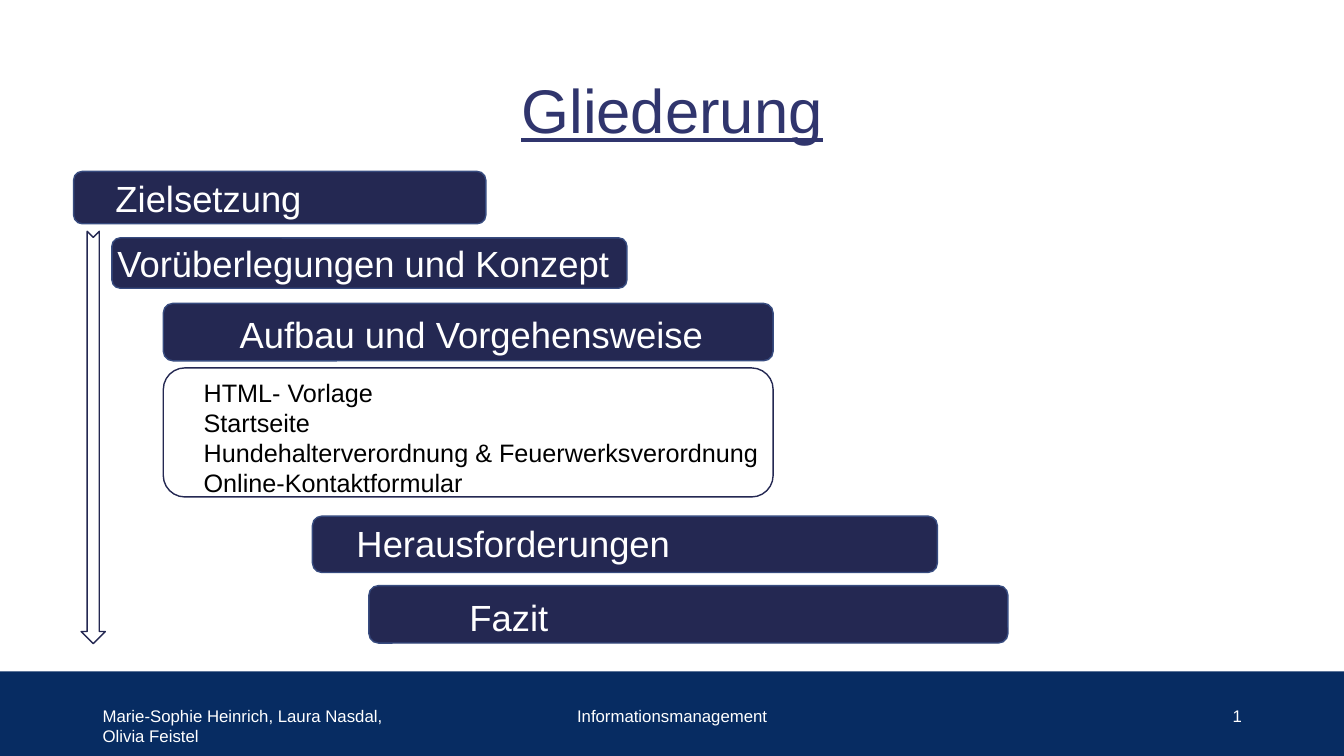
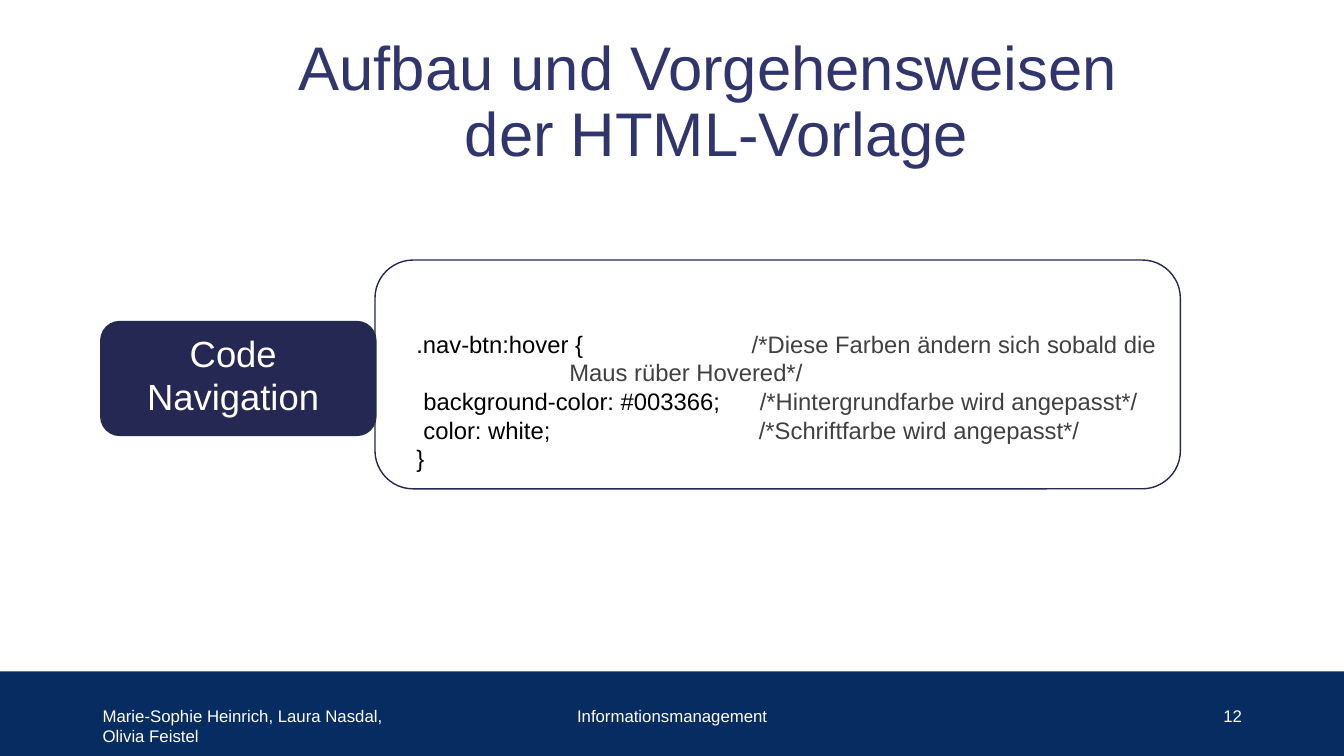
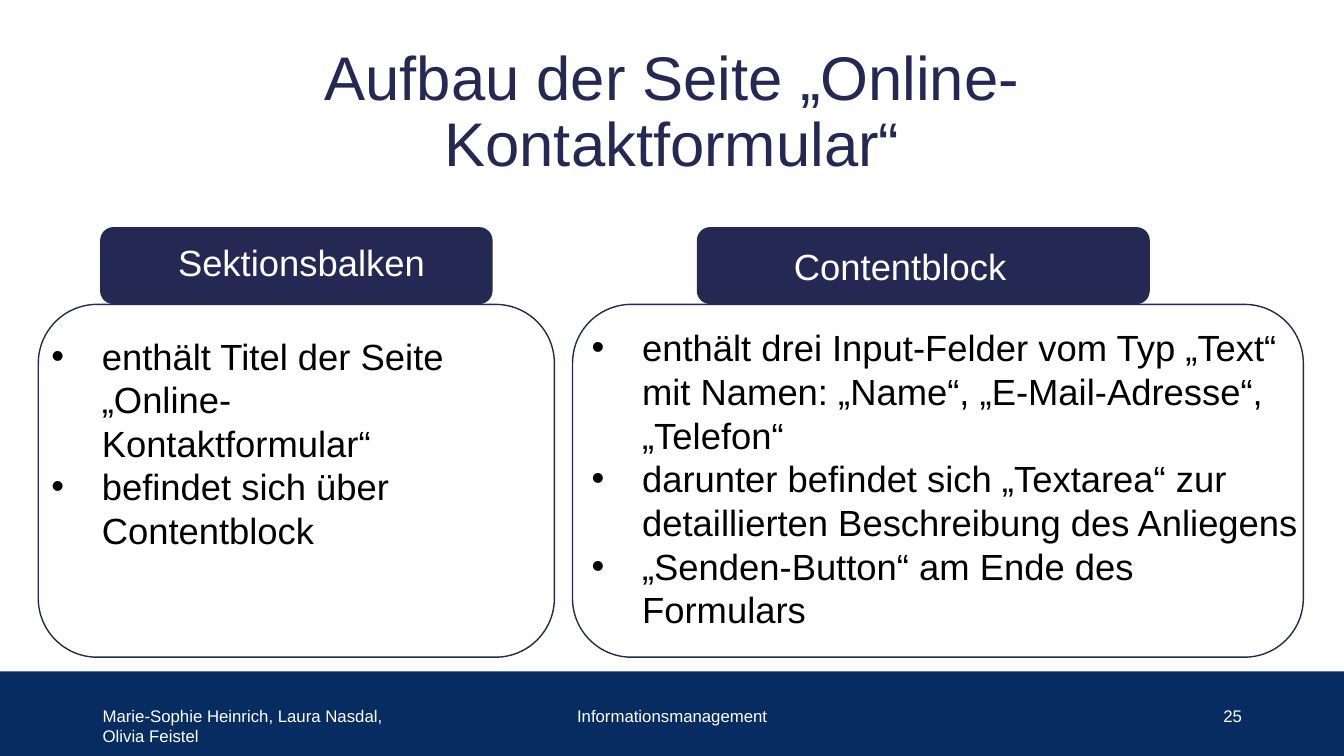
from pptx import Presentation
from pptx.dml.color import RGBColor
from pptx.enum.shapes import MSO_SHAPE
from pptx.enum.text import MSO_ANCHOR, MSO_AUTO_SIZE, PP_ALIGN
from pptx.oxml.ns import qn
from pptx.util import Inches, Pt
from lxml.etree import SubElement

COLORS = {
    "band": "072C62", "bar": "242852", "bar edge": "374B7F", "tab edge": "202D4B",
    "title": "30356D", "white": "FFFFFF", "black": "000000", "comment": "404040",
}
FOOTERS = [
    (0.92, 3, PP_ALIGN.LEFT, "Marie-Sophie Heinrich, Laura Nasdal, Olivia Feistel"),
    (4.42, 4.5, PP_ALIGN.CENTER, "Informationsmanagement"),
]


def write(shape, lines, size, color, align=PP_ALIGN.LEFT, anchor=MSO_ANCHOR.TOP,
          insets=(0.1, 0.1), drop=0, spacing=1.0, underline=None):
    """Fill a shape with paragraphs of one style; drop lowers the text."""
    frame = shape.text_frame
    frame_format = {
        "word_wrap": True, "auto_size": MSO_AUTO_SIZE.NONE, "vertical_anchor": anchor,
        "margin_left": Inches(insets[0]), "margin_right": Inches(insets[1]),
        "margin_top": Inches(0.05 + drop), "margin_bottom": Inches(0.05 - drop),
    }
    for name, value in frame_format.items():
        setattr(frame, name, value)
    frame.text = "\n".join(lines)
    para_format = {"alignment": align, "line_spacing": spacing, "space_before": Pt(0)}
    font_format = {"name": "Arial", "size": Pt(size), "underline": underline}
    for para in frame.paragraphs:
        for name, value in para_format.items():
            setattr(para, name, value)
        for span in para.runs:
            for name, value in font_format.items():
                setattr(span.font, name, value)
            span.font.color.rgb = RGBColor.from_string(COLORS[color])


def add_box(page, at, fill, edge, kind=MSO_SHAPE.ROUNDED_RECTANGLE):
    """Draw a flat filled shape with a thin outline."""
    box = page.shapes.add_shape(kind, *map(Inches, at))
    box.shadow.inherit = False
    box.fill.solid()
    box.fill.fore_color.rgb = RGBColor.from_string(COLORS[fill])
    box.line.color.rgb = RGBColor.from_string(COLORS[edge])
    box.line.width = Pt(1)
    return box


deck = Presentation()
deck.slide_width, deck.slide_height = Inches(40 / 3), Inches(7.5)

# Pages with title and footer texts
pages = []
for layout, number, title, top, left, color, underline in [
    (1, "1", ["Gliederung"], 0.4, 0.92, "title", True),
    (1, "12", ["Aufbau und Vorgehensweisen ", "der HTML-Vorlage"], 0.3, 1.36, "title", None),
    (3, "25", ["Aufbau der Seite „Online-Kontaktformular“"], 0.4, 0.92, "bar", None),
]:
    page = deck.slides.add_slide(deck.slide_layouts[layout])
    pages.append(page)
    heading = page.shapes.title
    heading.left, heading.top, heading.width, heading.height = map(
        Inches, (left, top, 11.5, 1.45))
    write(heading, title, 44, color, PP_ALIGN.CENTER, MSO_ANCHOR.MIDDLE,
          spacing=0.9, underline=underline)
    for left, width, align, text in FOOTERS + [(9.42, 3, PP_ALIGN.RIGHT, number)]:
        footer = page.shapes.add_textbox(
            Inches(left), Inches(6.95), Inches(width), Inches(0.4))
        write(footer, [text], 12, "white", align)
outline_page, code_page, form_page = pages

# Bands, moved to the master so that all pages share them
for at, color in [((0.15, 0, 0.66, 1.85), "white"), ((0, 6.66, 13.35, 0.84), "band")]:
    band = add_box(outline_page, at, color, color, MSO_SHAPE.RECTANGLE)
    band.line.fill.background()
    deck.slide_master.shapes.element.insert(2, band.element)

# Outline: staggered bars, one card and the arrow
for left, top, width, height, inset, drop, text in [
    (0.73, 1.7, 4.09, 0.52, 0.39, 0, "Zielsetzung"),
    (1.11, 2.36, 5.11, 0.5, 0.03, 0, "Vorüberlegungen und Konzept"),
    (1.62, 3.01, 6.05, 0.57, 0.73, 0.02, "Aufbau und Vorgehensweise"),
    (3.1, 5.12, 6.2, 0.56, 0.41, -0.01, "Herausforderungen"),
    (3.66, 5.81, 6.34, 0.57, 0.97, 0.03, "Fazit"),
]:
    bar = add_box(outline_page, (left, top, width, height), "bar", "bar edge")
    write(bar, [text], 26, "white", anchor=MSO_ANCHOR.MIDDLE, insets=(inset, 0), drop=drop)
add_box(outline_page, (1.62, 3.65, 6.05, 1.28), "white", "bar")
arrow = add_box(outline_page, (-1.12, 4.22, 4.09, 0.24), "white", "bar",
                MSO_SHAPE.NOTCHED_RIGHT_ARROW)
arrow.rotation = 90

# Code: card with a label on its left
add_box(code_page, (3.72, 2.58, 7.99, 2.27), "white", "bar")
label = add_box(code_page, (1, 3.19, 2.73, 1.13), "bar", "tab edge")
write(label, ["Code Navigation"], 26, "white", PP_ALIGN.CENTER, MSO_ANCHOR.MIDDLE,
      insets=(0.3, 0.4), drop=-0.04)

# Form: two cards, each with a label on top
for label_left, label_width, inset, drop, text, card_left, card_width in [
    (1, 3.88, 0.73, -0.04, "Sektionsbalken", 0.38, 5.12),
    (6.92, 4.48, 0.92, 0, "Contentblock", 5.68, 7.25),
]:
    label = add_box(form_page, (label_left, 2.26, label_width, 0.75), "bar", "tab edge")
    write(label, [text], 26, "white", anchor=MSO_ANCHOR.MIDDLE, insets=(inset, 0), drop=drop)
    add_box(form_page, (card_left, 3.02, card_width, 3.5), "white", "bar")

# Lists in the body placeholders, raised above the cards
for page, index, at, size, bulleted, lines in [
    (outline_page, 1, (1.92, 3.69, 5.96, 1.3), 18, False, [
        "HTML- Vorlage", "Startseite", "Hundehalterverordnung & Feuerwerksverordnung",
        "Online-Kontaktformular"]),
    (code_page, 1, (4.03, 3.22, 3.3, 1.54), 17, False, [
        ".nav-btn:hover {", "background-color: #003366;", "color: white;", "}"]),
    (form_page, 1, (0.41, 3.26, 4.57, 2.29), 26, True, [
        "enthält Titel der Seite „Online-Kontaktformular“",
        "befindet sich über Contentblock"]),
    (form_page, 2, (5.77, 3.18, 7.29, 3.16), 26, True, [
        "enthält drei Input-Felder vom Typ „Text“ mit Namen: „Name“, "
        "„E-Mail-Adresse“, „Telefon“",
        "darunter befindet sich „Textarea“ zur detaillierten Beschreibung des Anliegens",
        "„Senden-Button“ am Ende des Formulars"]),
]:
    body = page.placeholders[index]
    body.left, body.top, body.width, body.height = map(Inches, at)
    write(body, lines, size, "black")
    page.shapes.element.append(body.element)
    for para in body.text_frame.paragraphs:
        properties = para._p.get_or_add_pPr()
        hanging = Inches(0.5) if bulleted else 0
        properties.set("marL", str(hanging))
        properties.set("indent", str(-hanging))
        if bulleted:
            SubElement(properties, qn("a:buChar"), char="•")
        else:
            SubElement(properties, qn("a:buNone"))

# Code lines leave room for the two-line comment, declarations are indented
code_paras = code_page.placeholders[1].text_frame.paragraphs
code_paras[1].space_before = Pt(20.5)
for para in code_paras[1:3]:
    para._p.get_or_add_pPr().set("marL", str(Inches(0.07)))

# Comment column beside the code
comments = [
    (1.81, "/*Diese Farben ändern sich sobald die"),
    (0, "Maus rüber Hovered*/"),
    (1.89, "/*Hintergrundfarbe wird angepasst*/"),
    (1.88, "/*Schriftfarbe wird angepasst*/"),
]
column = code_page.shapes.add_textbox(Inches(5.55), Inches(3.22), Inches(6.2), Inches(1.25))
write(column, [text for _, text in comments], 17, "comment")
for para, (indent, _) in zip(column.text_frame.paragraphs, comments):
    para._p.get_or_add_pPr().set("marL", str(Inches(indent)))

deck.save("out.pptx")
